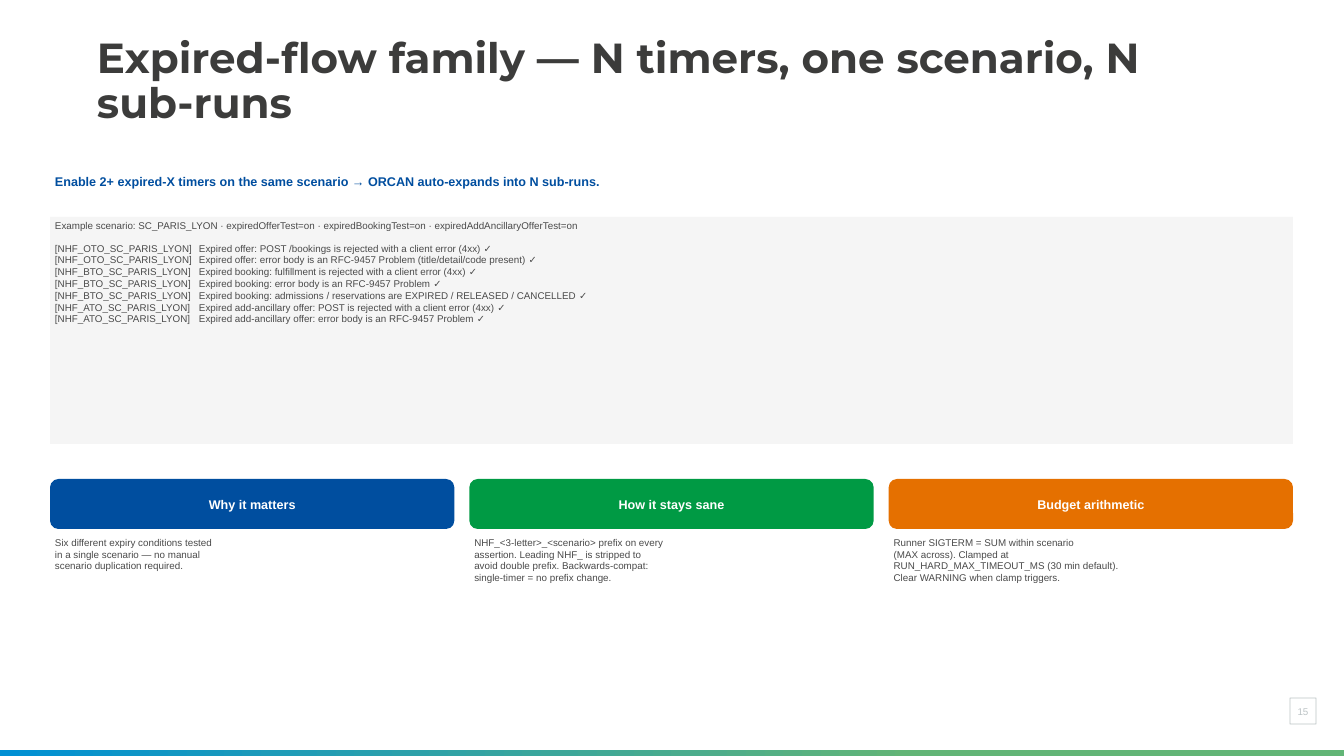
from lxml import etree
from pptx import Presentation
from pptx.dml.color import RGBColor
from pptx.enum.shapes import MSO_SHAPE
from pptx.enum.text import MSO_ANCHOR, PP_ALIGN
from pptx.oxml.ns import qn
from pptx.util import Emu, Pt

RECT, ROUNDED = MSO_SHAPE.RECTANGLE, MSO_SHAPE.ROUNDED_RECTANGLE
TOP, MIDDLE = MSO_ANCHOR.TOP, MSO_ANCHOR.MIDDLE
LEFT, CENTER = PP_ALIGN.LEFT, PP_ALIGN.CENTER

COLORS = {
    "title": "3C3C3B", "blue": "004E9F", "green": "009A44", "orange": "E57000",
    "body": "4A4A4A", "panel": "F5F5F5", "white": "FFFFFF", "page": "7A888C",
    "bar_green": "62B576", "bar_blue": "0090D4",
}

TITLE = "Expired-flow family — N timers, one scenario, N sub-runs"
LEAD = "Enable 2+ expired-X timers on the same scenario → ORCAN auto-expands into N sub-runs."
EXAMPLE = ("Example scenario: SC_PARIS_LYON · expiredOfferTest=on · "
           "expiredBookingTest=on · expiredAddAncillaryOfferTest=on")
ASSERTIONS = [
    ("OTO", "Expired offer: POST /bookings is rejected with a client error (4xx)"),
    ("OTO", "Expired offer: error body is an RFC-9457 Problem (title/detail/code present)"),
    ("BTO", "Expired booking: fulfillment is rejected with a client error (4xx)"),
    ("BTO", "Expired booking: error body is an RFC-9457 Problem"),
    ("BTO", "Expired booking: admissions / reservations are EXPIRED / RELEASED / CANCELLED"),
    ("ATO", "Expired add-ancillary offer: POST is rejected with a client error (4xx)"),
    ("ATO", "Expired add-ancillary offer: error body is an RFC-9457 Problem"),
]
CARDS = [
    ("Why it matters", "blue", [
        "Six different expiry conditions tested",
        "in a single scenario — no manual",
        "scenario duplication required."]),
    ("How it stays sane", "green", [
        "NHF_<3-letter>_<scenario> prefix on every",
        "assertion. Leading NHF_ is stripped to",
        "avoid double prefix. Backwards-compat:",
        "single-timer = no prefix change."]),
    ("Budget arithmetic", "orange", [
        "Runner SIGTERM = SUM within scenario",
        "(MAX across). Clamped at",
        "RUN_HARD_MAX_TIMEOUT_MS (30 min default).",
        "Clear WARNING when clamp triggers."]),
]
PAGE = "15"

SLIDE_W, SLIDE_H = 1344, 756
MARGIN, CONTENT_W, GAP = 50, 1243, 15
LOG_TAB = 144


def px(value):
    return Emu(round(value * 914400 / 50.4))


def rgb(name):
    return RGBColor.from_string(COLORS[name])


def fade(color_parent):
    for color in color_parent.iter(qn("a:srgbClr")):
        etree.SubElement(color, qn("a:alpha"), val="50000")


def add_box(slide, kind, *box, fill=None):
    shape = slide.shapes.add_shape(kind, *map(px, box))
    shape.shadow.inherit = False
    shape.line.fill.background()
    if fill:
        shape.fill.solid()
        shape.fill.fore_color.rgb = rgb(fill)
    else:
        shape.fill.background()
    return shape


def write(shape, lines, *, size=14, color="body", font="Arial", bold=False,
          align=LEFT, anchor=TOP, spacing=None, tab=None):
    frame = shape.text_frame
    frame.word_wrap = True
    frame.vertical_anchor = anchor
    frame.text = "\n".join(lines)
    for paragraph in frame.paragraphs:
        paragraph.alignment = align
        if spacing:
            paragraph.line_spacing = spacing
        if tab:
            tabs = etree.SubElement(paragraph._p.get_or_add_pPr(), qn("a:tabLst"))
            etree.SubElement(tabs, qn("a:tab"), pos=str(px(tab)), algn="l")
        for run in paragraph.runs:
            run.font.name = font
            run.font.size = Pt(size)
            run.font.bold = bold
            run.font.color.rgb = rgb(color)
    return frame


def add_text(slide, lines, *box, **style):
    return write(slide.shapes.add_textbox(*map(px, box)), lines, **style)


def add_footer(slide):
    bar = add_box(slide, RECT, 0, 750, SLIDE_W, 6)
    bar.fill.gradient()
    bar.fill.gradient_angle = 180
    stops = [("bar_green", 0.32), ("bar_blue", 1)]
    for stop, (name, position) in zip(bar.fill.gradient_stops, stops):
        stop.color.rgb = rgb(name)
        stop.position = position
    number = add_text(slide, [PAGE], 1288, 703, 30, 17, color="page", align=CENTER)
    fade(number._txBody)
    frame = add_box(slide, RECT, 1290, 698, 26, 26)
    frame.line.color.rgb = rgb("page")
    frame.line.width = Pt(1)
    fade(frame.line._ln)


def add_log(slide):
    panel = add_box(slide, RECT, MARGIN, 217, CONTENT_W, 227, fill="panel")
    rows = [f"[NHF_{code}_SC_PARIS_LYON]\t{text} ✓" for code, text in ASSERTIONS]
    log = write(panel, [EXAMPLE] + rows, tab=LOG_TAB)
    log.paragraphs[0].space_after = Pt(16)


def add_cards(slide):
    width = (CONTENT_W - GAP * (len(CARDS) - 1)) / len(CARDS)
    for index, (heading, color, lines) in enumerate(CARDS):
        left = MARGIN + index * (width + GAP)
        header = add_box(slide, ROUNDED, left, 479, width, 50, fill=color)
        write(header, [heading], size=18, color="white", bold=True,
              align=CENTER, anchor=MIDDLE)
        add_text(slide, ["\v".join(lines)], left, 534, width, 176)


def main():
    deck = Presentation()
    deck.slide_width, deck.slide_height = px(SLIDE_W), px(SLIDE_H)
    slide = deck.slides.add_slide(deck.slide_layouts[6])
    add_footer(slide)
    add_text(slide, [TITLE], 92, 40, 1159, 85, size=60, color="title",
             font="Montserrat", bold=True, anchor=MIDDLE, spacing=0.9)
    add_text(slide, [LEAD], MARGIN, 171, CONTENT_W, 35, size=18, color="blue", bold=True)
    add_log(slide)
    add_cards(slide)
    deck.save("out.pptx")


if __name__ == "__main__":
    main()
